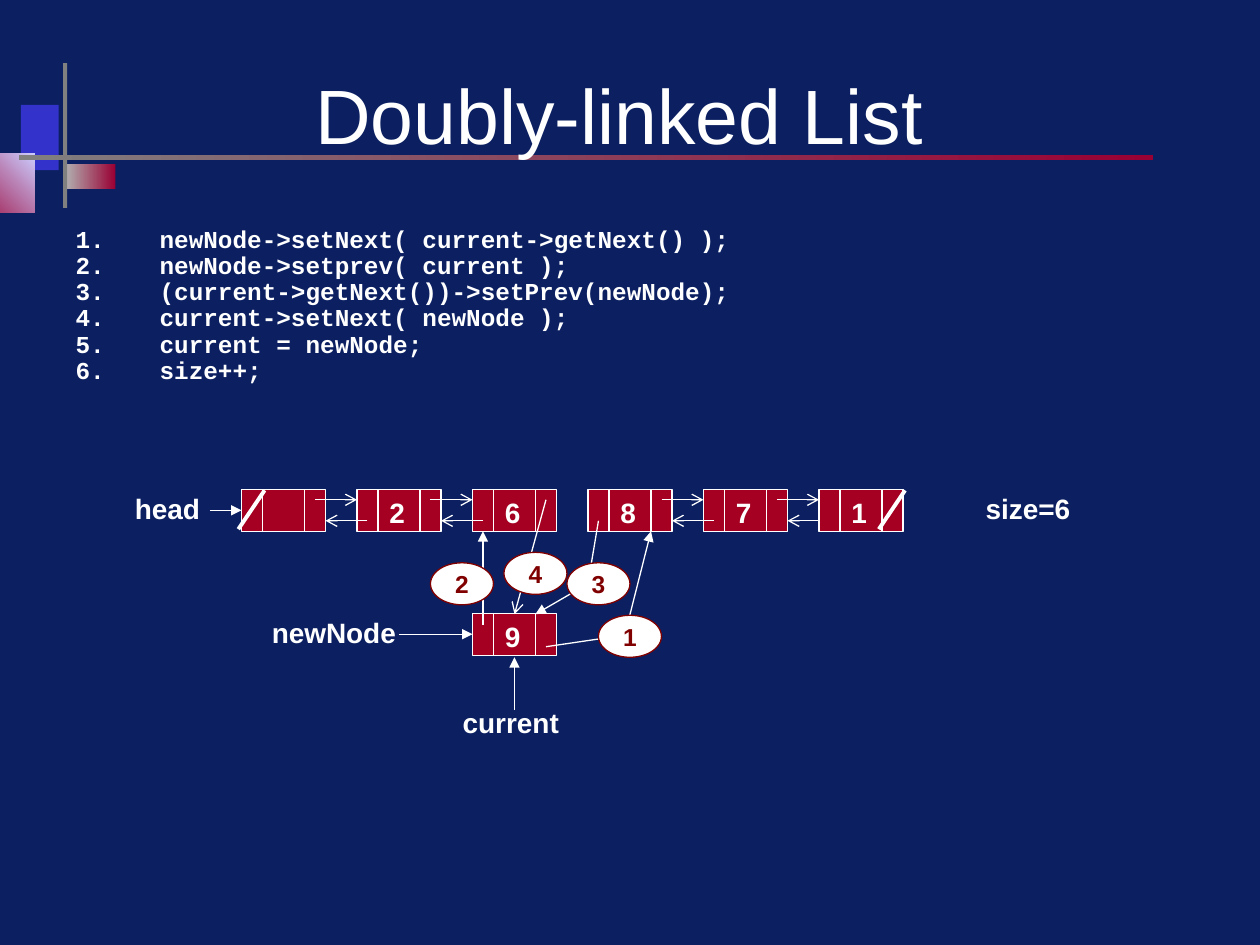
"""Build a slide that shows insertion into a doubly-linked list."""
from lxml import etree
from pptx import Presentation
from pptx.dml.color import RGBColor
from pptx.enum.shapes import MSO_CONNECTOR, MSO_SHAPE
from pptx.enum.text import MSO_ANCHOR, MSO_AUTO_SIZE, PP_ALIGN
from pptx.oxml.ns import qn
from pptx.util import Inches, Pt

RECT, OVAL = MSO_SHAPE.RECTANGLE, MSO_SHAPE.OVAL
LEFT, CENTER = PP_ALIGN.LEFT, PP_ALIGN.CENTER
TOP, MIDDLE = MSO_ANCHOR.TOP, MSO_ANCHOR.MIDDLE
NO_FIT = MSO_AUTO_SIZE.NONE
STRAIGHT = MSO_CONNECTOR.STRAIGHT

COLORS = {
    "navy": "0B1F61", "white": "FFFFFF", "node": "A50021", "maroon": "800000",
    "blue": "3333CC", "gray": "808080", "silver": "B2B2B2", "wine": "990033",
    "lilac": "CCCCFF",
}
COLORS = {name: RGBColor.from_string(code) for name, code in COLORS.items()}
UNIT = Inches(1) // 12

deck = Presentation()
deck.slide_width, deck.slide_height = 120 * UNIT, 90 * UNIT
page = deck.slides.add_slide(deck.slide_layouts[1])
page.background.fill.solid()
page.background.fill.fore_color.rgb = COLORS["navy"]


def put_box(place, text="", target=None, kind=None, fill=None, angle=0, line=None, size=16,
            font="Arial", color="white", bold=True, align=LEFT, anchor=TOP, inset=None,
            wrap=True, numbered=False):
    place = [round(value * UNIT) for value in place]
    if target is not None:
        box = target
        box.left, box.top, box.width, box.height = place
    elif kind is None:
        box = page.shapes.add_textbox(*place)
    else:
        box = page.shapes.add_shape(kind, *place)
        box.shadow.inherit = False
        if isinstance(fill, tuple):
            box.fill.gradient()
            box.fill.gradient_angle = angle
            for stop, name in zip(box.fill.gradient_stops, fill):
                stop.color.rgb = COLORS[name]
        else:
            box.fill.solid()
            box.fill.fore_color.rgb = COLORS[fill]
        if line:
            box.line.color.rgb = COLORS[line]
            box.line.width = Pt(0.75)
        else:
            box.line.fill.background()
    if not text:
        return
    frame = box.text_frame
    frame.auto_size, frame.word_wrap, frame.vertical_anchor = NO_FIT, wrap, anchor
    if inset is not None:
        frame.margin_left = frame.margin_right = frame.margin_top = frame.margin_bottom = inset
    for index, words in enumerate(text.split("\n")):
        para = frame.add_paragraph() if index else frame.paragraphs[0]
        para.alignment = align
        if numbered:
            para.line_spacing = 0.6
            para.space_before = Pt(5 if index else 0)
            props = para._p.get_or_add_pPr()
            props.set("marL", str(8 * UNIT))
            props.set("indent", str(-8 * UNIT))
            etree.SubElement(props, qn("a:buFont"), typeface=font)
            etree.SubElement(props, qn("a:buAutoNum"), type="arabicPeriod")
        span = para.add_run()
        span.text = words
        span.font.name, span.font.size, span.font.bold = font, Pt(size), bold
        span.font.color.rgb = COLORS[color]


def link(*points, width=0.75, head=None):
    points = [(round(x * UNIT), round(y * UNIT)) for x, y in points]
    if len(points) == 2:
        path = page.shapes.add_connector(STRAIGHT, *points[0], *points[1])
        etree.SubElement(path.element.spPr, qn("a:effectLst"))
    else:
        builder = page.shapes.build_freeform(*points[0])
        builder.add_line_segments(points[1:], close=False)
        path = builder.convert_to_shape()
        path.fill.background()
        path.shadow.inherit = False
    path.line.color.rgb = COLORS["white"]
    path.line.width = Pt(width)
    if head:
        stroke = path.element.spPr.find(qn("a:ln"))
        etree.SubElement(stroke, qn("a:tailEnd"), type=head)


decorations = [
    ((2, 10, 3.6, 6.2), "blue", 0),
    ((6.2, 15.6, 4.8, 2.4), ("silver", "wine"), 0),
    ((-4, 14.6, 7.3, 5.6), ("wine", "lilac"), 45),
    ((6, 6, 0.4, 13.8), "gray", 0),
    ((1.8, 14.8, 108, 0.4), ("gray", "wine"), 0),
]
for place, fill, angle in decorations:
    put_box(place, kind=RECT, fill=fill, angle=angle)

title, body = page.placeholders
for holder in (title, body):
    page.shapes.element.append(holder.element)
put_box((6, 4.8, 108, 12), "Doubly-linked List ", target=title, size=44, bold=False,
        align=CENTER, anchor=MIDDLE)
code = """newNode->setNext( current->getNext() );
newNode->setprev( current );
(current->getNext())->setPrev(newNode);
current->setNext( newNode );
current = newNode;
size++;"""
put_box((6, 21.7, 108, 15), code, target=body, size=13.9, font="Courier New", numbered=True)

list_left, list_top, pitch = 23, 46.6, 11
new_left, new_top = 45, 58.4
values = ["", "2", "6", "8", "7", "1"]
nodes = [(list_left + pitch * index, list_top, value) for index, value in enumerate(values)]
nodes.append((new_left, new_top, "9"))
for left, top, value in nodes:
    put_box((left, top, 8, 4), kind=RECT, fill="node", line="white")
    for divider in (left + 2, left + 6):
        link((divider, top), (divider, top + 4))
    put_box((left + 1.9, top, 5, 4.4), value)

for index in (0, 1, 3, 4):
    left = list_left + pitch * index
    back_start = left + (pitch if index == 4 else pitch + 1)
    link((left + 7, list_top + 1), (left + pitch, list_top + 1), head="arrow")
    link((back_start, list_top + 3), (left + 8, list_top + 3), head="arrow")

for right in (25.2, 86.2):
    link((right, 46.7), (right - 2.5, 50.4), width=2.25)

labels = [
    ("head", 11.7, 46.2, 8.5), ("size=6", 92.7, 46.2, 10.4),
    ("newNode", 24.7, 58, 14.2), ("current", 42.9, 66.6, 11.5),
]
for text, left, top, width in labels:
    put_box((left, top, width, 4.4), text, align=CENTER, wrap=False)

pointers = [
    ((20, 48.6), (23, 48.6)),
    ((38, 60.4), (45, 60.4)),
    ((49, 67.6), (49, 62.6)),
    ((46, 59.5), (46, 50.6)),
    ((52, 61.6), (59.5, 60.5), (62, 50.6)),
    ((57, 49.6), (56, 55.6), (51, 58.5)),
]
for points in pointers:
    link(*points, head="triangle")
link((52, 47.6), (49, 58.5), head="arrow")

steps = [("1", 57, 58.6), ("2", 41, 53.6), ("3", 54, 53.6), ("4", 48, 52.6)]
for number, left, top in steps:
    put_box((left, top, 6, 4), number, kind=OVAL, fill="white", line="maroon", size=14,
            color="maroon", align=CENTER, anchor=MIDDLE, inset=0)

deck.save("out.pptx")
